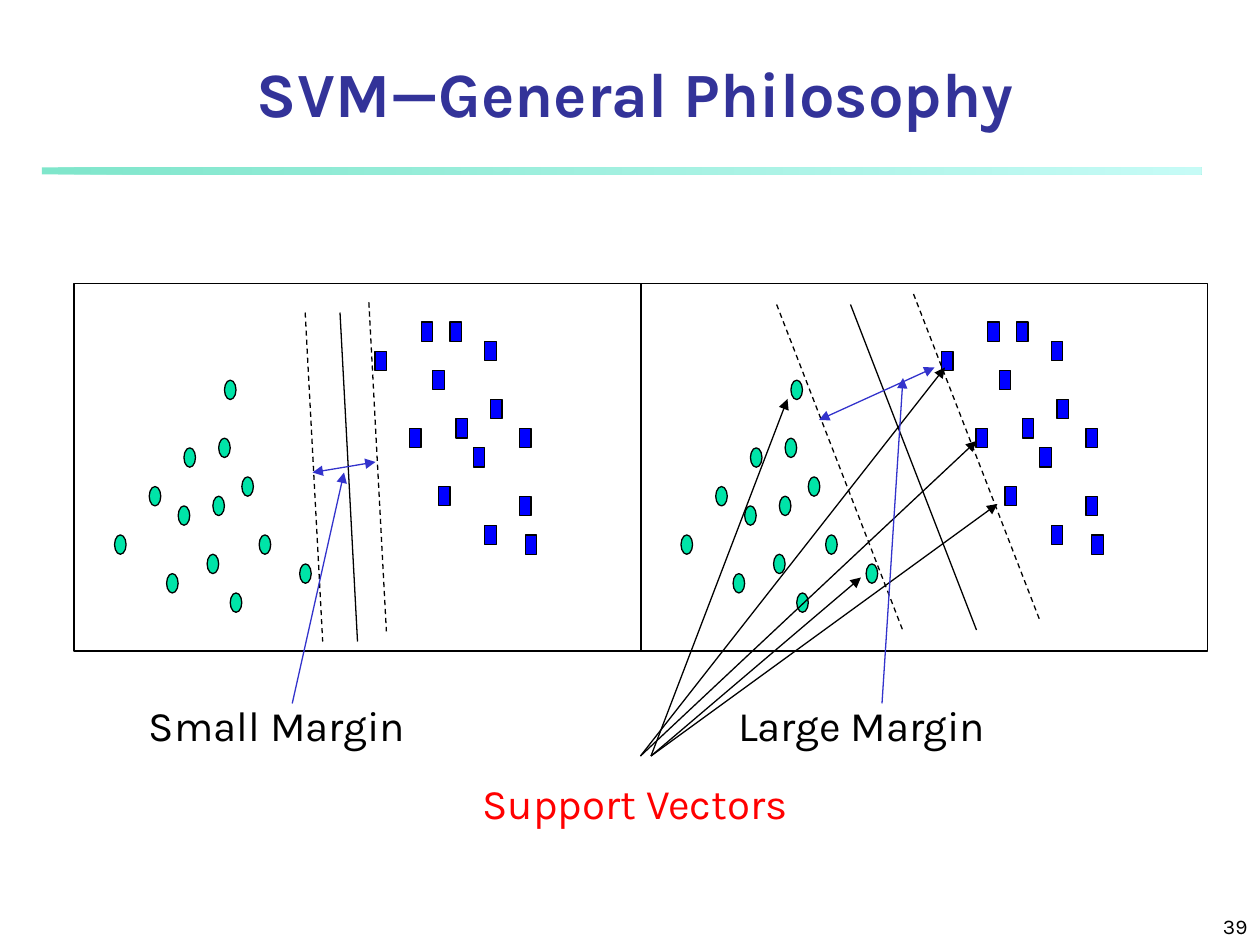
from pptx import Presentation
from pptx.dml.color import RGBColor
from pptx.enum.dml import MSO_LINE
from pptx.enum.shapes import MSO_CONNECTOR, MSO_SHAPE
from pptx.enum.text import MSO_ANCHOR, MSO_AUTO_SIZE, PP_ALIGN
from pptx.oxml.ns import qn
from pptx.util import Pt
from lxml.etree import SubElement

FONT = "Karla"
BLACK, BLUE, RED = "000000", "3333CC", "FF0000"
TITLE = ("SVM—General Philosophy", "333399")

# Data points as (column, row) on the grid of a panel
GRID_COLUMNS, GRID_ROWS, MARKER_CELLS = 98, 38, 2
CIRCLES = [(16, 30), (18, 23), (7, 26), (13, 21), (23, 28), (19, 17), (24, 22),
           (25, 16), (29, 20), (32, 26), (27, 32), (39, 29), (26, 10)]
SQUARES = [(58, 15), (52, 7), (60, 4), (63, 21), (62, 9), (66, 14), (65, 4),
           (71, 6), (69, 17), (72, 12), (71, 25), (77, 15), (77, 22), (78, 26)]
MARKERS = [(MSO_SHAPE.OVAL, "00E4A8", CIRCLES), (MSO_SHAPE.RECTANGLE, "0000FF", SQUARES)]

# Panels: left edge, (run, drop) of the boundary lines, their starts (x, y, dashed)
PANEL_TOP, PANEL_WIDTH, PANEL_HEIGHT = 162, 324, 210
PANELS = [
    (42.3, (10, 188), [(210.8, 172.8, True), (174.4, 178.6, True), (194.3, 178.6, False)]),
    (366, (72, 186), [(443.8, 174, True), (522, 168, True), (486, 174, False)]),
]

# Labels: text, colour, box, arrows as (start, end, double-headed)
LABELS = [
    ("Support Vectors", RED, (268.5, 440.8, 195, 36), [
        ((366, 432), (540, 210), False),
        ((366, 432), (558, 252), False),
        ((372, 432), (570, 288), False),
        ((372, 432), (492, 330), False),
        ((372, 432), (450, 228), False)]),
    ("Small Margin", BLACK, (78, 396, 163, 36), [
        ((178.6, 270), (214.6, 264), True),
        ((167, 402), (196.6, 270), False)]),
    ("Large Margin", BLACK, (414.7, 396, 166, 36), [
        ((468, 240), (534, 210), True),
        ((504, 402), (516, 216), False)]),
]


def color(hex_value):
    return RGBColor.from_string(hex_value)


def add_box(shapes, kind, left, top, width, height, fill=None, line=BLACK):
    shape = shapes.add_shape(kind, Pt(left), Pt(top), Pt(width), Pt(height))
    shape.shadow.inherit = False
    if fill:
        shape.fill.solid()
        shape.fill.fore_color.rgb = color(fill)
    else:
        shape.fill.background()
    if line:
        shape.line.color.rgb = color(line)
        shape.line.width = Pt(0.75)
    else:
        shape.line.fill.background()
    return shape


def add_line(shapes, start, end, line_color=BLACK, dashed=False, arrows=()):
    connector = shapes.add_connector(
        MSO_CONNECTOR.STRAIGHT, *(Pt(value) for value in start + end))
    connector.line.color.rgb = color(line_color)
    connector.line.width = Pt(0.75)
    if dashed:
        connector.line.dash_style = MSO_LINE.DASH
    properties = connector._element.spPr
    for arrow in arrows:
        SubElement(properties.find(qn("a:ln")), qn(f"a:{arrow}"), type="triangle")
    SubElement(properties, qn("a:effectLst"))


def style_text(shape, text, size, text_color, align=PP_ALIGN.LEFT, bold=False):
    paragraph = shape.text_frame.paragraphs[0]
    paragraph.text = text
    paragraph.alignment = align
    paragraph.font.name = FONT
    paragraph.font.size = Pt(size)
    paragraph.font.bold = bold
    paragraph.font.color.rgb = color(text_color)


def add_text(shapes, box, *style):
    text_box = shapes.add_textbox(*(Pt(value) for value in box))
    style_text(text_box, *style)
    return text_box


presentation = Presentation()
presentation.slide_width, presentation.slide_height = Pt(720), Pt(540)
slide = presentation.slides.add_slide(presentation.slide_layouts[5])

# Rule under the title
rule = add_box(slide.shapes, MSO_SHAPE.RECTANGLE, 24, 95.6, 662.4, 4, line=None)
rule.fill.gradient()
rule.fill.gradient_angle = 0
for stop, stop_color in zip(rule.fill.gradient_stops, ("00CE98", "8FF9EF")):
    stop.color.rgb = color(stop_color)
for rgb in rule._element.spPr.iter(qn("a:srgbClr")):
    SubElement(rgb, qn("a:alpha"), val="50000")

# Title and page number
title = slide.shapes.title
title.left, title.top, title.width, title.height = Pt(24), Pt(30), Pt(678), Pt(48)
title.text_frame.auto_size = MSO_AUTO_SIZE.NONE
title.text_frame.vertical_anchor = MSO_ANCHOR.BOTTOM
style_text(title, TITLE[0], 36, TITLE[1], PP_ALIGN.CENTER, True)
number = add_text(slide.shapes, (570, 510, 150, 30), "39", 12, BLACK, PP_ALIGN.RIGHT)
number.text_frame.word_wrap = True
number.text_frame.vertical_anchor = MSO_ANCHOR.BOTTOM

# Panels with data points and boundary lines
cell_width, cell_height = PANEL_WIDTH / GRID_COLUMNS, PANEL_HEIGHT / GRID_ROWS
for panel_left, (run, drop), boundaries in PANELS:
    shapes = slide.shapes.add_group_shape().shapes
    for kind, fill, points in MARKERS:
        for column, row in points:
            add_box(shapes, kind,
                    panel_left + column * cell_width, PANEL_TOP + row * cell_height,
                    MARKER_CELLS * cell_width, MARKER_CELLS * cell_height, fill)
    add_box(shapes, MSO_SHAPE.RECTANGLE, panel_left, PANEL_TOP, PANEL_WIDTH, PANEL_HEIGHT)
    for x, y, dashed in boundaries:
        add_line(shapes, (x, y), (x + run, y + drop), dashed=dashed)

# Labels with their arrows
for text, text_color, box, arrows in LABELS:
    shapes = slide.shapes.add_group_shape().shapes
    label = add_text(shapes, box, text, 24, text_color)
    label.text_frame.word_wrap = False
    label.text_frame.auto_size = MSO_AUTO_SIZE.SHAPE_TO_FIT_TEXT
    arrow_color = BLACK if text_color == RED else BLUE
    for start, end, double in arrows:
        add_line(shapes, start, end, arrow_color,
                 arrows=("headEnd", "tailEnd") if double else ("tailEnd",))

presentation.save("out.pptx")
